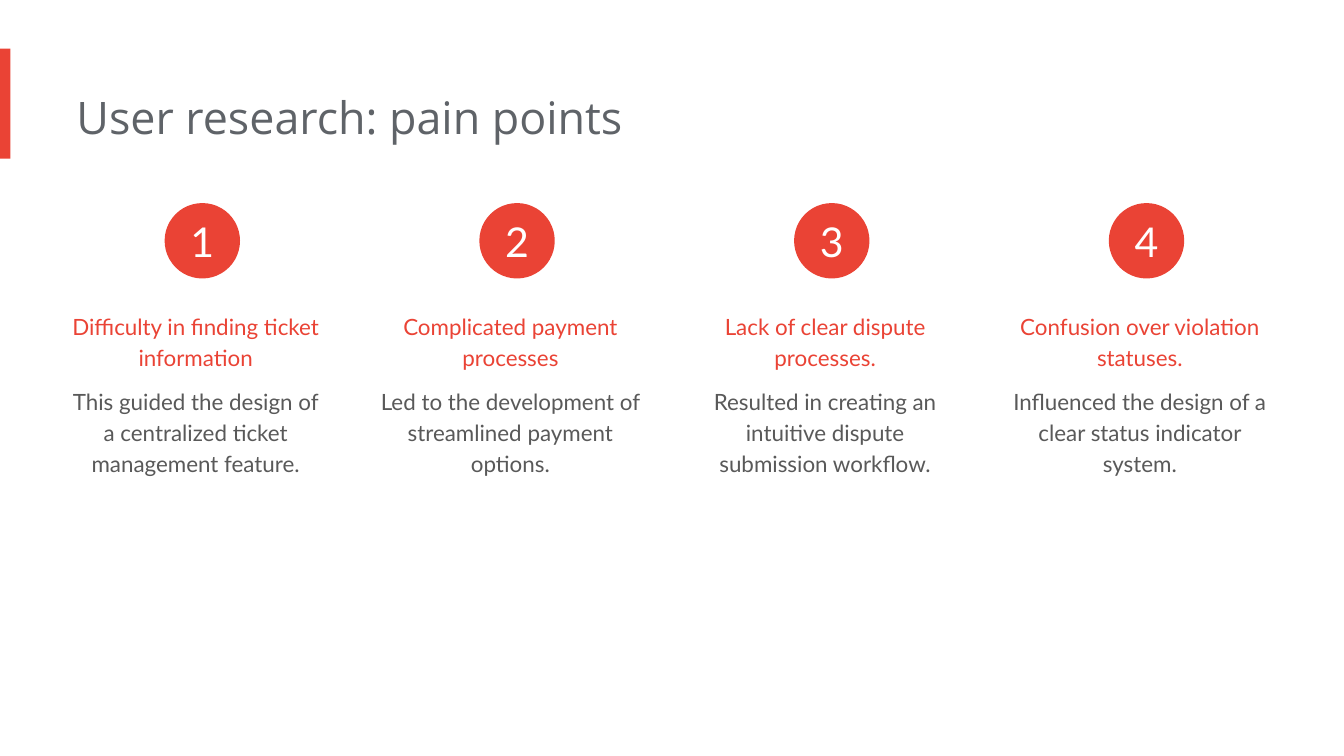
from dataclasses import dataclass

from pptx import Presentation
from pptx.dml.color import RGBColor
from pptx.enum.shapes import MSO_SHAPE
from pptx.enum.text import MSO_ANCHOR, PP_ALIGN
from pptx.shapes.autoshape import Shape
from pptx.slide import Slide
from pptx.text.text import TextFrame
from pptx.util import Pt

RECTANGLE, OVAL = MSO_SHAPE.RECTANGLE, MSO_SHAPE.OVAL
LEFT, CENTER = PP_ALIGN.LEFT, PP_ALIGN.CENTER
TOP, MIDDLE = MSO_ANCHOR.TOP, MSO_ANCHOR.MIDDLE

COLORS = {"accent": "EA4335", "title": "5F6368", "body": "595959", "number": "FFFFFF"}


@dataclass(frozen=True)
class Box:
    left: float
    top: float
    width: float
    height: float

    def lengths(self) -> list[Pt]:
        return [Pt(v) for v in (self.left, self.top, self.width, self.height)]


@dataclass(frozen=True)
class TextStyle:
    font: str
    size: float
    color: str
    align: PP_ALIGN = CENTER
    line_spacing: float = 1.0
    anchor: MSO_ANCHOR = TOP
    margins: tuple[float, float, float, float] = (0, 7.2, 7.2, 7.2)


@dataclass(frozen=True)
class PainPoint:
    heading: str
    outcome: str


TITLE = TextStyle("Open Sans", 24, "title", align=LEFT)
HEADING = TextStyle("Lato", 12, "accent", line_spacing=1.15)
OUTCOME = TextStyle("Lato", 12, "body", line_spacing=1.15)
NUMBER = TextStyle("Lato", 22, "number", anchor=MIDDLE, margins=(0, 0, 0, 0))

PAIN_POINTS = [
    PainPoint("Difficulty in finding ticket information",
              "This guided the design of a centralized ticket management feature."),
    PainPoint("Complicated payment processes",
              "Led to the development of streamlined payment options."),
    PainPoint("Lack of clear dispute processes.",
              "Resulted in creating an intuitive dispute submission workflow."),
    PainPoint("Confusion over violation statuses.",
              "Influenced the design of a clear status indicator system."),
]

# Column grid, in points
FIRST_COLUMN = 34.6
COLUMN_PITCH = 168.6
COLUMN_WIDTH = 147.6
CIRCLE_SIZE = 40.4


def write(frame: TextFrame, text: str, style: TextStyle) -> None:
    left, top, right, bottom = (Pt(m) for m in style.margins)
    paragraph = frame.paragraphs[0]
    paragraph.text = text
    formats = {
        frame: {"word_wrap": True, "vertical_anchor": style.anchor,
                "margin_left": left, "margin_top": top,
                "margin_right": right, "margin_bottom": bottom},
        paragraph: {"alignment": style.align, "line_spacing": style.line_spacing},
        paragraph.runs[0].font: {"name": style.font, "size": Pt(style.size)},
    }
    for target, values in formats.items():
        for attribute, value in values.items():
            setattr(target, attribute, value)
    paragraph.runs[0].font.color.rgb = RGBColor.from_string(COLORS[style.color])


def add_text(slide: Slide, box: Box, text: str, style: TextStyle) -> None:
    write(slide.shapes.add_textbox(*box.lengths()).text_frame, text, style)


def add_accent_shape(slide: Slide, kind: MSO_SHAPE, box: Box) -> Shape:
    shape = slide.shapes.add_shape(kind, *box.lengths())
    shape.shadow.inherit = False
    shape.fill.solid()
    shape.fill.fore_color.rgb = RGBColor.from_string(COLORS["accent"])
    shape.line.fill.background()
    return shape


def add_pain_point(slide: Slide, index: int, point: PainPoint) -> None:
    left = FIRST_COLUMN + index * COLUMN_PITCH
    add_text(slide, Box(left, 158.4, COLUMN_WIDTH, 46), point.heading, HEADING)
    add_text(slide, Box(left, 198.8, COLUMN_WIDTH, 94.4), point.outcome, OUTCOME)
    circle_left = left + (COLUMN_WIDTH - CIRCLE_SIZE) / 2
    circle = add_accent_shape(slide, OVAL, Box(circle_left, 108.8, CIRCLE_SIZE, CIRCLE_SIZE))
    write(circle.text_frame, str(index + 1), NUMBER)


def main() -> None:
    presentation = Presentation()
    presentation.slide_width, presentation.slide_height = Pt(720), Pt(405)
    slide = presentation.slides.add_slide(presentation.slide_layouts[6])

    # Accent bar and title
    add_accent_shape(slide, RECTANGLE, Box(0, 26, 5.6, 59))
    add_text(slide, Box(41, 41, 484.6, 44), "User research: pain points", TITLE)

    # Numbered columns
    for index, point in enumerate(PAIN_POINTS):
        add_pain_point(slide, index, point)

    presentation.save("out.pptx")


if __name__ == "__main__":
    main()
